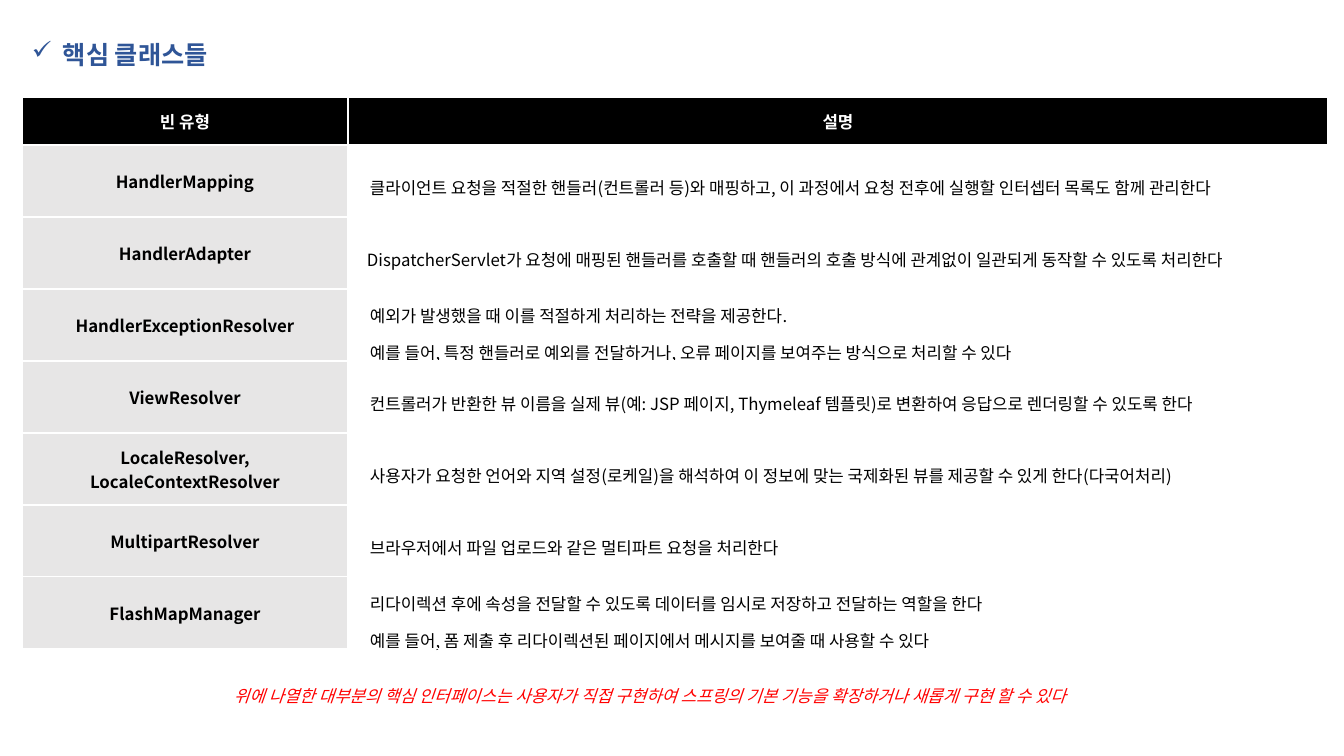
from lxml import etree
from pptx import Presentation
from pptx import util as u
from pptx.dml.color import RGBColor
from pptx.enum import text
from pptx.oxml.ns import qn

PX = 914400 / 100.8
FONT = "Noto Sans CJK KR"
COLORS = {
    "title": "2F5597",
    "header": "000000",
    "header_text": "FFFFFF",
    "bean": "E7E6E6",
    "description": "FFFFFF",
    "body_text": "000000",
    "note": "FF0000",
}
HEADINGS = ("빈 유형", "설명")
BEANS = [
    ("HandlerMapping",
     ["클라이언트 요청을 적절한 핸들러(컨트롤러 등)와 매핑하고, 이 과정에서 요청 전후에 실행할 인터셉터 목록도 함께 관리한다"]),
    ("HandlerAdapter",
     ["DispatcherServlet가 요청에 매핑된 핸들러를 호출할 때 핸들러의 호출 방식에 관계없이 일관되게 동작할 수 있도록 처리한다"]),
    ("HandlerExceptionResolver",
     ["예외가 발생했을 때 이를 적절하게 처리하는 전략을 제공한다.",
      "예를 들어, 특정 핸들러로 예외를 전달하거나, 오류 페이지를 보여주는 방식으로 처리할 수 있다"]),
    ("ViewResolver",
     ["컨트롤러가 반환한 뷰 이름을 실제 뷰(예: JSP 페이지, Thymeleaf 템플릿)로 변환하여 응답으로 렌더링할 수 있도록 한다"]),
    ("LocaleResolver, LocaleContextResolver",
     ["사용자가 요청한 언어와 지역 설정(로케일)을 해석하여 이 정보에 맞는 국제화된 뷰를 제공할 수 있게 한다(다국어처리)"]),
    ("MultipartResolver",
     ["브라우저에서 파일 업로드와 같은 멀티파트 요청을 처리한다"]),
    ("FlashMapManager",
     ["리다이렉션 후에 속성을 전달할 수 있도록 데이터를 임시로 저장하고 전달하는 역할을 한다",
      "예를 들어, 폼 제출 후 리다이렉션된 페이지에서 메시지를 보여줄 때 사용할 수 있다"]),
]


def px(length):
    return u.Emu(round(length * PX))


def write(frame, lines, color="body_text", size=12, bold=False, italic=False,
          align=text.PP_ALIGN.LEFT, spacing=None, bullet=None):
    for number, line in enumerate(lines):
        paragraph = frame.add_paragraph() if number else frame.paragraphs[0]
        paragraph.alignment = align
        if spacing:
            paragraph.line_spacing = spacing
        if bullet:
            properties = paragraph._p.get_or_add_pPr()
            properties.set("marL", str(px(31)))
            properties.set("indent", str(-px(31)))
            etree.SubElement(properties, qn("a:buChar")).set("char", bullet)
        run = paragraph.add_run()
        run.text = line
        run.font.name = FONT
        run.font.size = u.Pt(size)
        run.font.bold = bold
        run.font.italic = italic
        run.font.color.rgb = RGBColor.from_string(COLORS[color])
        east_asian = etree.SubElement(run._r.get_or_add_rPr(), qn("a:ea"))
        east_asian.set("typeface", FONT)


def add_text(slide, box, line, wrap=True, **style):
    frame = slide.shapes.add_textbox(*map(px, box)).text_frame
    frame.word_wrap = wrap
    frame.auto_size = text.MSO_AUTO_SIZE.SHAPE_TO_FIT_TEXT
    write(frame, [line], **style)


def fill_cell(cell, lines, fill, indent=0, **style):
    cell.fill.solid()
    cell.fill.fore_color.rgb = RGBColor.from_string(COLORS[fill])
    cell.vertical_anchor = text.MSO_ANCHOR.MIDDLE
    cell.margin_left = px(4 + indent)
    cell.margin_right = px(4)
    cell.margin_top = cell.margin_bottom = px(2)
    write(cell.text_frame, lines, **style)


def add_bean_table(slide, box, header_height=48):
    left, top, width, height = box
    table = slide.shapes.add_table(len(BEANS) + 1, len(HEADINGS), *map(px, box)).table
    table.horz_banding = False
    bean_width = width // 4
    table.columns[0].width = px(bean_width)
    table.columns[1].width = px(width - bean_width)
    table.rows[0].height = px(header_height)
    label = {"bold": True, "align": text.PP_ALIGN.CENTER}
    for column, heading in enumerate(HEADINGS):
        fill_cell(table.cell(0, column), [heading], "header", color="header_text", **label)
    for row, (bean, description) in enumerate(BEANS, 1):
        table.rows[row].height = px((height - header_height) // len(BEANS))
        fill_cell(table.cell(row, 0), [bean], "bean", **label)
        indent = 15 if description[0][0].isascii() else 18
        fill_cell(table.cell(row, 1), description, "description", indent, spacing=1.5)


def build_core_classes(slide):
    add_text(slide, (22, 34, 214, 40), "핵심 클래스들", wrap=False,
             color="title", size=18, bold=True, bullet="✓")
    add_bean_table(slide, (22, 97, 1306, 552))
    add_text(slide, (224, 681, 977, 30),
             "위에 나열한 대부분의 핵심 인터페이스는 사용자가 직접 구현하여 스프링의 기본 기능을 확장하거나 새롭게 구현 할 수 있다",
             color="note", italic=True)


def main():
    deck = Presentation()
    deck.slide_width, deck.slide_height = px(1344), px(756)
    build_core_classes(deck.slides.add_slide(deck.slide_layouts[6]))
    deck.save("out.pptx")


if __name__ == "__main__":
    main()
